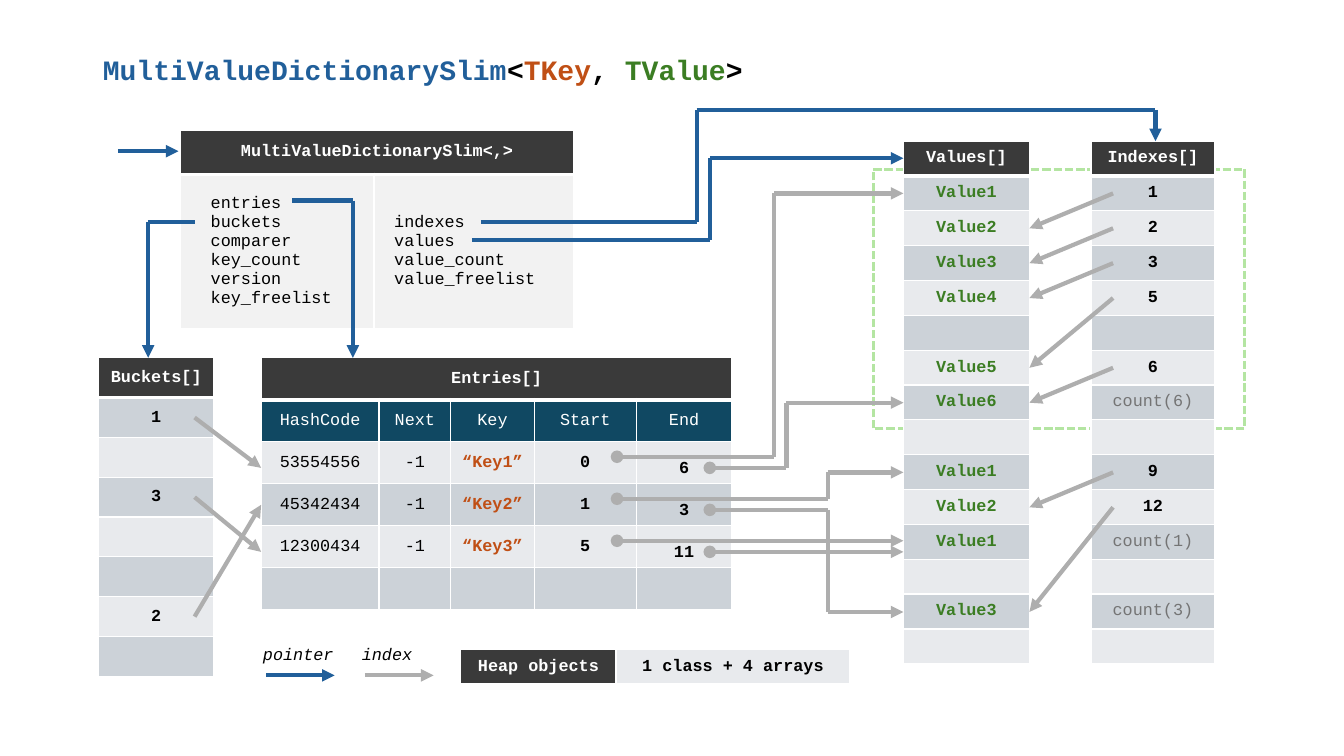
from dataclasses import dataclass
from itertools import pairwise

from lxml import etree
from pptx import Presentation
from pptx.dml import color as dml
from pptx.enum import dml as dashes, shapes, text
from pptx.oxml import ns
from pptx.util import Inches, Pt


@dataclass(frozen=True)
class Theme:
    font: str = "Courier New"
    title_size: int = 20
    body_size: int = 12
    wire: int = 3
    black: str = "000000"
    white: str = "FFFFFF"
    pointer: str = "215F9A"
    index: str = "AEAEAE"
    group: str = "B4E5A2"
    key: str = "C04F15"
    value: str = "3B7D23"
    count: str = "747474"
    header: str = "3A3A3A"
    subheader: str = "104862"
    panel: str = "F2F2F2"
    bands: tuple = ("E8EAED", "CCD2D8")


THEME = Theme()
CENTER, LEFT = text.PP_ALIGN.CENTER, text.PP_ALIGN.LEFT
MIDDLE, BOTTOM = text.MSO_ANCHOR.MIDDLE, text.MSO_ANCHOR.BOTTOM


@dataclass(frozen=True)
class Box:
    left: float
    top: float
    width: float
    height: float
    rows: int = 1

    @property
    def right(self):
        return self.left + self.width

    @property
    def bottom(self):
        return self.top + self.height

    def row(self, number):
        return self.top + self.height / self.rows * (number + 0.5)

    def inches(self):
        return [Inches(v) for v in (self.left, self.top, self.width, self.height)]


@dataclass(frozen=True)
class Cell:
    words: str = ""
    color: str = THEME.black
    bold: bool = True
    fill: str = ""
    align: object = CENTER
    anchor: object = MIDDLE
    inset: float = 0.1


def rgb(value):
    return dml.RGBColor.from_string(value)


def write(frame, lines, size=THEME.body_size, color=THEME.black, bold=False,
          italic=False, align=LEFT, spacing=None):
    for number, line in enumerate(lines):
        paragraph = frame.add_paragraph() if number else frame.paragraphs[0]
        paragraph.alignment = align
        paragraph.line_spacing = spacing
        for words, tint in [(line, color)] if isinstance(line, str) else line:
            if not words:
                etree.SubElement(paragraph._p, ns.qn("a:endParaRPr"), sz=str(size * 100))
                continue
            run = paragraph.add_run()
            run.text = words
            run.font.name, run.font.size = THEME.font, Pt(size)
            run.font.bold, run.font.italic = bold, italic
            run.font.color.rgb = rgb(tint)


def border(cell, edges):
    properties = cell._tc.get_or_add_tcPr()
    for side in "LRTB":
        edge = etree.SubElement(properties, ns.qn(f"a:ln{side}"),
                                w=str(Pt(edges.get(side, 1))))
        paint = etree.SubElement(edge, ns.qn("a:solidFill"))
        etree.SubElement(paint, ns.qn("a:srgbClr"), val=THEME.white)


def grid(slide, box, widths, heights, rows, titled=True):
    table = slide.shapes.add_table(len(rows), len(widths), *box.inches()).table
    table.first_row = table.horz_banding = False
    for column, width in zip(table.columns, widths):
        column.width = Inches(width)
    for line, height in zip(table.rows, heights):
        line.height = Inches(height)
    for r, entries in enumerate(rows):
        for c, entry in enumerate(entries):
            cell = table.cell(r, c)
            border(cell, {"B": 3} if r == 0 else {"T": 3} if r == 1 else {})
            cell.fill.solid()
            cell.fill.fore_color.rgb = rgb(entry.fill or THEME.bands[r % 2])
            cell.vertical_anchor = entry.anchor
            cell.margin_left = Inches(entry.inset)
            write(cell.text_frame, entry.words.split("\n"), color=entry.color,
                  bold=entry.bold, align=entry.align)
    if titled and len(widths) > 1:
        table.cell(0, 0).merge(table.cell(0, len(widths) - 1))


def heading(words):
    return Cell(words, THEME.white, fill=THEME.header)


def route(slide, points, color, head=None, tail="triangle", weight=THEME.wire, dash=None):
    legs = list(pairwise(points))
    for number, (start, end) in enumerate(legs):
        wire = slide.shapes.add_connector(shapes.MSO_CONNECTOR.STRAIGHT,
                                          *(Inches(v) for v in start + end))
        wire.line.color.rgb, wire.line.width = rgb(color), Pt(weight)
        if dash:
            wire.line.dash_style = dash
        line = wire.line._get_or_add_ln()
        if head and number == 0:
            etree.SubElement(line, ns.qn("a:headEnd"), type=head)
        if tail and number == len(legs) - 1:
            etree.SubElement(line, ns.qn("a:tailEnd"), type=tail)
        etree.SubElement(wire._element.spPr, ns.qn("a:effectLst"))


def title(slide, box):
    holder = slide.shapes.title
    holder.left, holder.top, holder.width, holder.height = box.inches()
    frame = holder.text_frame
    frame.auto_size, frame.vertical_anchor = text.MSO_AUTO_SIZE.NONE, MIDDLE
    write(frame, [[("MultiValueDictionarySlim", THEME.pointer), ("<", THEME.black),
                   ("TKey", THEME.key), (", ", THEME.black),
                   ("TValue", THEME.value), (">", THEME.black)]],
          size=THEME.title_size, bold=True, spacing=0.9)


def value_group(slide, box):
    corners = [(box.left, box.top), (box.right, box.top), (box.right, box.bottom),
               (box.left, box.bottom), (box.left, box.top)]
    route(slide, corners, THEME.group, tail=None, weight=2,
          dash=dashes.MSO_LINE.SQUARE_DOT)


def array(slide, box, name, cells):
    rows = [[heading(name)]] + [[cell] for cell in cells]
    grid(slide, box, [box.width], [box.height / box.rows] * box.rows, rows)


def entries_array(slide, box):
    labels = [Cell(label, THEME.white, False, THEME.subheader)
              for label in ("HashCode", "Next", "Key", "Start", "End")]
    records = [("53554556", "“Key1”", "0", "6"), ("45342434", "“Key2”", "1", "3"),
               ("12300434", "“Key3”", "5", "11")]
    body = [[Cell(code, bold=False), Cell("-1", bold=False), Cell(key, THEME.key),
             Cell(start), Cell(end, anchor=BOTTOM)] for code, key, start, end in records]
    grid(slide, box, [1.17, 0.71, 0.83, 1.01, 0.95], [box.height / box.rows] * box.rows,
         [[heading("Entries[]")] + [heading("")] * 4, labels, *body, [Cell()] * 5])


def dictionary_class(slide, box):
    fields = [("entries\nbuckets\ncomparer\nkey_count\nversion\nkey_freelist", 0.3),
              ("indexes\nvalues\nvalue_count\nvalue_freelist", 0.2)]
    grid(slide, box, [1.92, 1.98], [0.44, 1.53],
         [[heading("MultiValueDictionarySlim<,>"), heading("")],
          [Cell(names, bold=False, fill=THEME.panel, align=LEFT, inset=inset)
           for names, inset in fields]])


def class_pointers(slide, box, buckets, entries, values, indexes):
    first, second, third = (box.top + drop for drop in (0.7, 0.91, 1.09))
    over = indexes.top - 0.31
    inner, outer = box.right + 1.22, box.right + 1.35
    into_values, into_indexes = values.top + 0.17, indexes.left + 0.64
    for points in (
        [(box.left - 0.62, box.top + 0.21), (box.left - 0.02, box.top + 0.21)],
        [(box.left + 0.14, second), (1.47, second), (1.47, buckets.top)],
        [(box.left + 1.11, first), (3.5, first), (3.5, entries.top)],
        [(box.left + 2.98, second), (inner, second), (inner, over),
         (into_indexes, over), (into_indexes, indexes.top)],
        [(box.left + 2.89, third), (outer, third), (outer, into_values),
         (values.left, into_values)],
    ):
        route(slide, points, THEME.pointer)


def array_indexes(slide, buckets, entries, values, indexes):
    for bucket, entry, shift in ((1, 2, 0.05), (3, 4, 0.05), (6, 3, 0)):
        route(slide, [(buckets.right - 0.19, buckets.row(bucket)),
                      (entries.left, entries.row(entry) + shift)], THEME.index)
    for index, value in ((1, 2), (2, 3), (3, 4), (4, 6), (6, 7), (9, 10), (10, 13)):
        route(slide, [(indexes.left + 0.22, indexes.row(index)),
                      (values.right, values.row(value))], THEME.index)
    columns = {"start": (entries.right - 1.14, -0.06), "end": (entries.right - 0.22, 0.05)}
    for entry, column, lane, value in ((2, "start", 7.68, 1), (2, "end", 7.8, 7),
                                       (3, "start", 8.21, 9), (3, "end", 8.21, 13),
                                       (4, "start", None, None), (4, "end", None, None)):
        x, shift = columns[column]
        y = entries.row(entry) + shift
        bend = [(lane, y), (lane, values.row(value))] if lane else []
        target = values.row(value) if lane else y
        route(slide, [(x, y), *bend, (values.left, target)], THEME.index, head="oval")


def legend(slide, box):
    for name, left, width, color in (("pointer", 0, 0.91, THEME.pointer),
                                     ("index", 0.98, 0.71, THEME.index)):
        x = box.left + left
        label = slide.shapes.add_textbox(*Box(x, box.top, width, 0.3).inches())
        label.text_frame.word_wrap = False
        write(label.text_frame, [name], italic=True)
        route(slide, [(x + 0.13, box.top + 0.36), (x + 0.81, box.top + 0.36)], color)
    summary = Box(box.left + 2.06, box.top + 0.1, 3.86, 0.35)
    grid(slide, summary, [1.54, 2.32], [summary.height],
         [[heading("Heap objects"), Cell("1 class + 4 arrays")]], titled=False)


def main():
    deck = Presentation()
    deck.slide_width, deck.slide_height = Inches(13.33), Inches(7.5)
    slide = deck.slides.add_slide(deck.slide_layouts[5])
    buckets, entries = Box(0.98, 3.55, 1.14, 3.16, 8), Box(2.59, 3.55, 4.67, 2.5, 6)
    values, indexes = Box(8.96, 1.4, 1.25, 5.19, 15), Box(10.82, 1.4, 1.23, 5.19, 15)
    dictionary = Box(1.79, 1.29, 3.9, 1.97)
    title(slide, Box(0.92, 0.4, 6.93, 0.62))
    value_group(slide, Box(8.66, 1.68, 3.68, 2.57))
    array(slide, buckets, "Buckets[]", [Cell(n) for n in ("1", "", "3", "", "", "2", "")])
    entries_array(slide, entries)
    dictionary_class(slide, dictionary)
    array(slide, values, "Values[]",
          [Cell(n and f"Value{n}", THEME.value) for n in (*"1234", "", *"56", "", *"121", "", "3", "")])
    array(slide, indexes, "Indexes[]",
          [Cell(n, THEME.count, False) if n.startswith("count") else Cell(n)
           for n in ("1", "2", "3", "5", "", "6", "count(6)", "", "9", "12",
                     "count(1)", "", "count(3)", "")])
    class_pointers(slide, dictionary, buckets, entries, values, indexes)
    array_indexes(slide, buckets, entries, values, indexes)
    legend(slide, Box(2.51, 6.34, 5.92, 0.45))
    deck.save("out.pptx")


if __name__ == "__main__":
    main()
